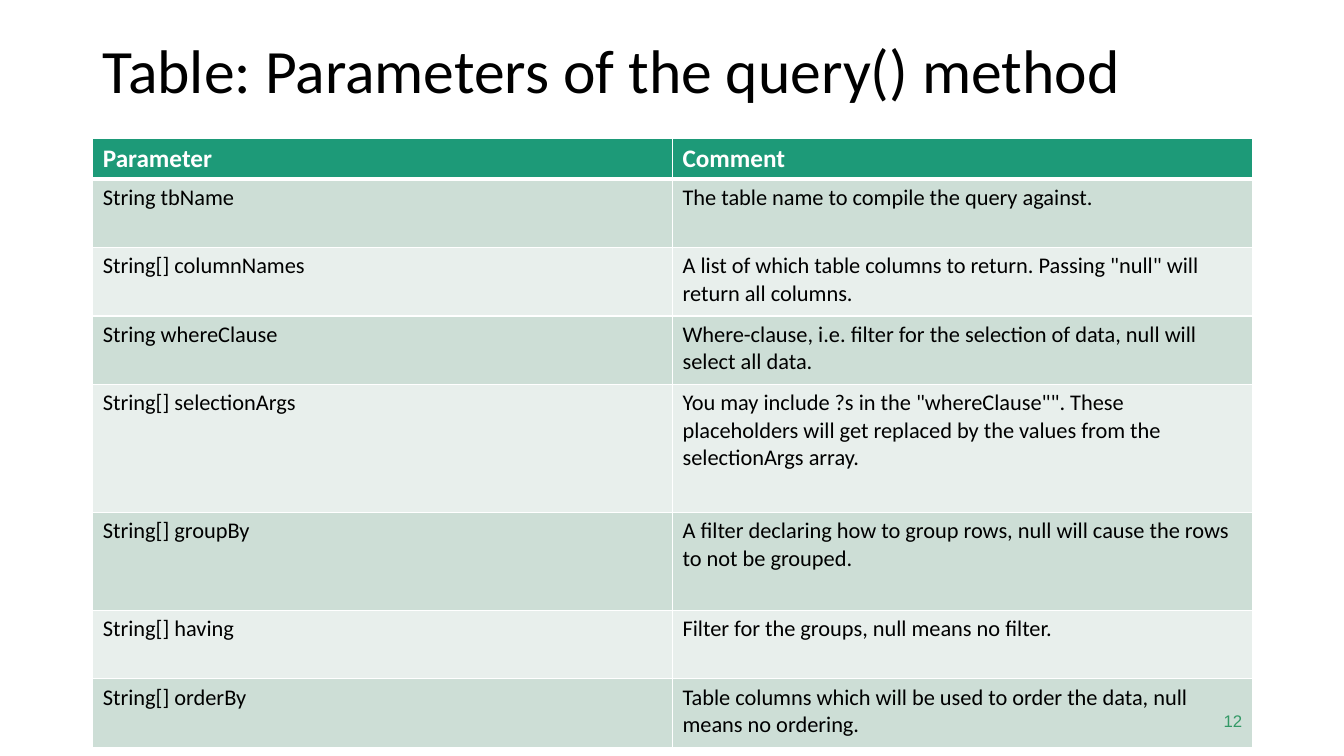
from lxml import etree
from pptx import Presentation
from pptx import util as u
from pptx.dml.color import RGBColor
from pptx.enum import text
from pptx.oxml import ns

BLACK, WHITE, GREEN = "000000", "FFFFFF", "1D9A78"
BANDS = ["CDDED6", "E8EFEC"]
ROWS = [
    ("Parameter", "Comment", 0.4),
    ("String tbName", "The table name to compile the query against.", 0.68),
    ("String[] columnNames",
     'A list of which table columns to return. Passing "null" will return all columns.', 0.68),
    ("String whereClause",
     "Where-clause, i.e. filter for the selection of data, null will select all data.", 0.68),
    ("String[] selectionArgs",
     'You may include ?s in the "whereClause"". These placeholders will get replaced '
     "by the values from the selectionArgs array.", 1.27),
    ("String[] groupBy",
     "A filter declaring how to group rows, null will cause the rows to not be grouped.", 0.97),
    ("String[] having", "Filter for the groups, null means no filter.", 0.68),
    ("String[] orderBy",
     "Table columns which will be used to order the data, null means no ordering.", 0.68),
]


def color(value):
    return RGBColor.from_string(value)


def apply(target, values):
    for name, value in values.items():
        setattr(target, name, value)


class SlideBuilder:
    font = "Calibri"

    def __init__(self, page):
        self.page = page

    def add_words(self, frame, words, size, shade, font=None, bold=False, **layout):
        para = frame.paragraphs[0]
        apply(para, layout)
        span = para.add_run()
        span.text = words
        apply(span.font, {"name": font or self.font, "size": u.Pt(size), "bold": bold})
        span.font.color.rgb = color(shade)

    def place(self, box, left, top, width, height):
        lengths = map(u.Inches, (left, top, width, height))
        apply(box, dict(zip(("left", "top", "width", "height"), lengths)))
        apply(box.text_frame, {"word_wrap": True, "auto_size": text.MSO_AUTO_SIZE.NONE,
                               "vertical_anchor": text.MSO_ANCHOR.MIDDLE})

    def title(self, words, *area):
        box = self.page.shapes.title
        self.place(box, *area)
        self.add_words(box.text_frame, words, 44, BLACK,
                       alignment=text.PP_ALIGN.LEFT, line_spacing=0.9)

    def label(self, words, *area):
        box = self.page.shapes.add_textbox(0, 0, 0, 0)
        self.place(box, *area)
        self.add_words(box.text_frame, words, 12, "339966", "Arial",
                       alignment=text.PP_ALIGN.RIGHT)

    def border(self, cell, side, width):
        properties = cell._tc.get_or_add_tcPr()
        line = etree.SubElement(properties, ns.qn(f"a:ln{side}"), w=str(u.Pt(width)))
        fill = etree.SubElement(line, ns.qn("a:solidFill"))
        etree.SubElement(fill, ns.qn("a:srgbClr"), val=WHITE)

    def table(self, rows, left, top, width):
        height = sum(row[-1] for row in rows)
        area = map(u.Inches, (left, top, width, height))
        table = self.page.shapes.add_table(len(rows), 2, *area).table
        for index, (*words, row_height) in enumerate(rows):
            table.rows[index].height = u.Inches(row_height)
            header = index == 0
            for cell, content in zip(table.rows[index].cells, words):
                for side in "LRTB":
                    thick = (header and side == "B") or (index == 1 and side == "T")
                    self.border(cell, side, 3 if thick else 1)
                cell.fill.solid()
                cell.fill.fore_color.rgb = color(GREEN if header else BANDS[(index - 1) % 2])
                self.add_words(cell.text_frame, content, 18 if header else 16,
                               WHITE if header else BLACK, bold=header)


deck = Presentation()
apply(deck, {"slide_width": u.Inches(13.33), "slide_height": u.Inches(7.5)})
slide = SlideBuilder(deck.slides.add_slide(deck.slide_layouts[5]))
slide.title("Table:\u00a0Parameters of the query() method", 0.92, 0, 11.5, 1.45)
slide.table(ROWS, 0.92, 1.37, 11.5)
slide.label("12", 9.42, 6.95, 3, 0.4)
deck.save("out.pptx")
